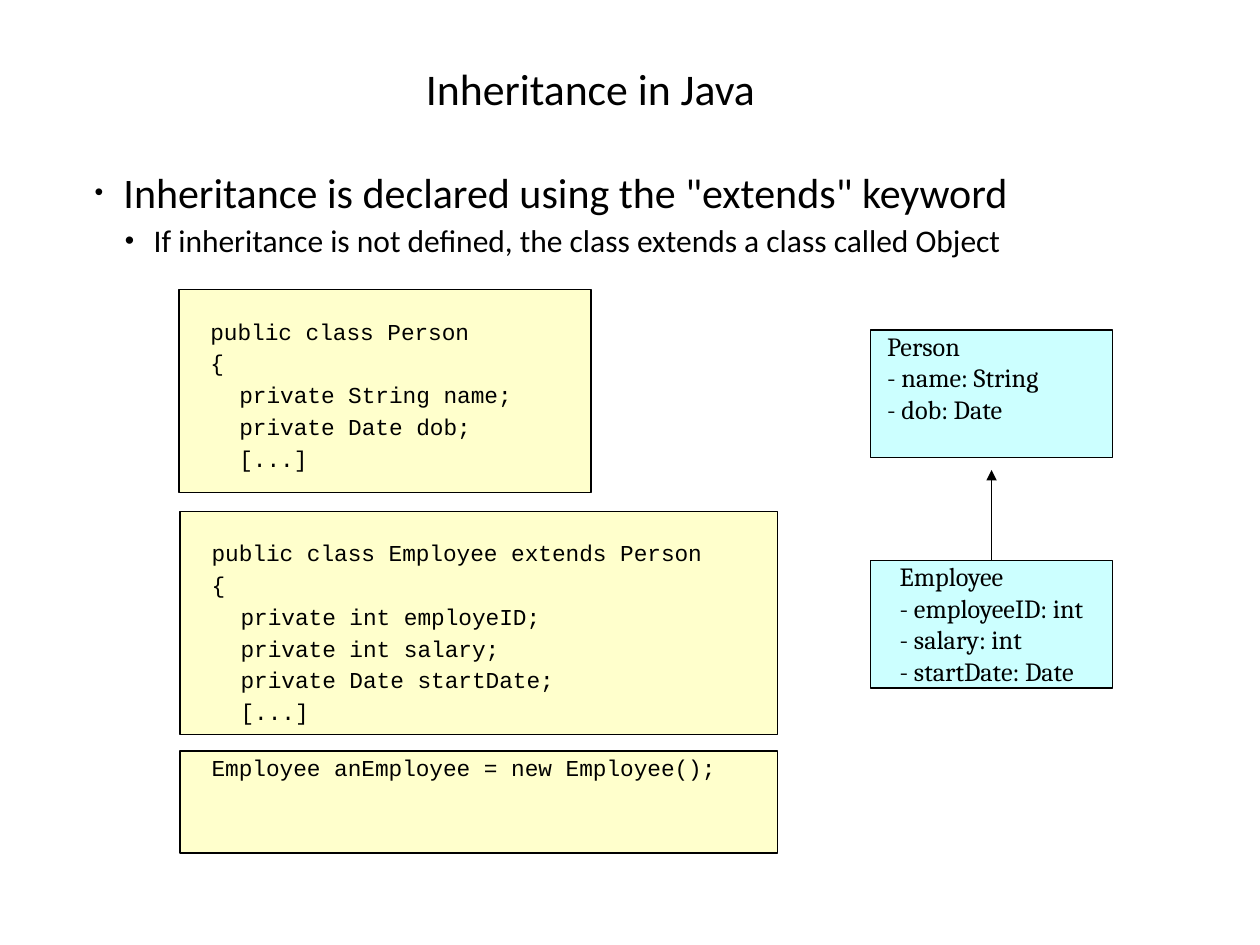
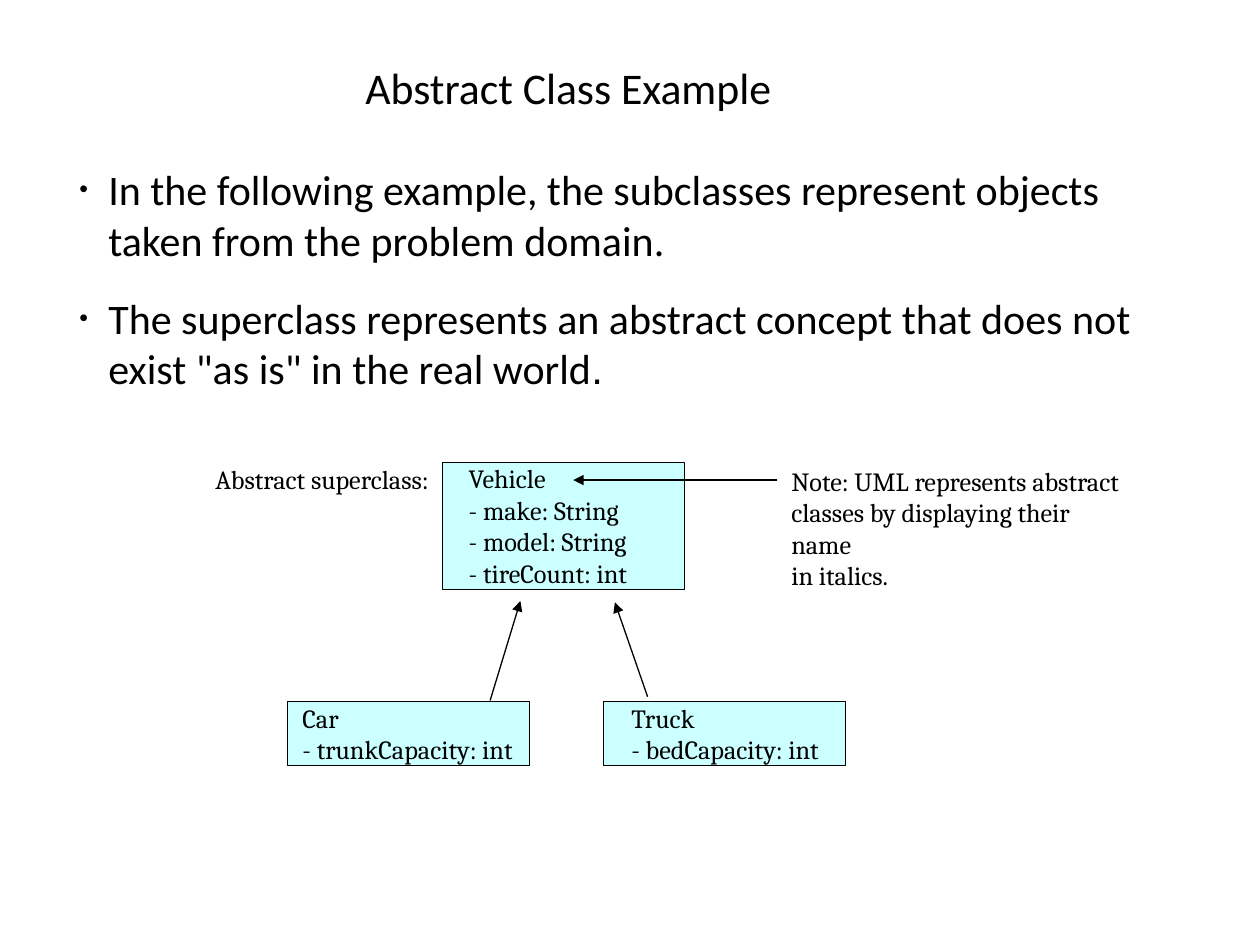
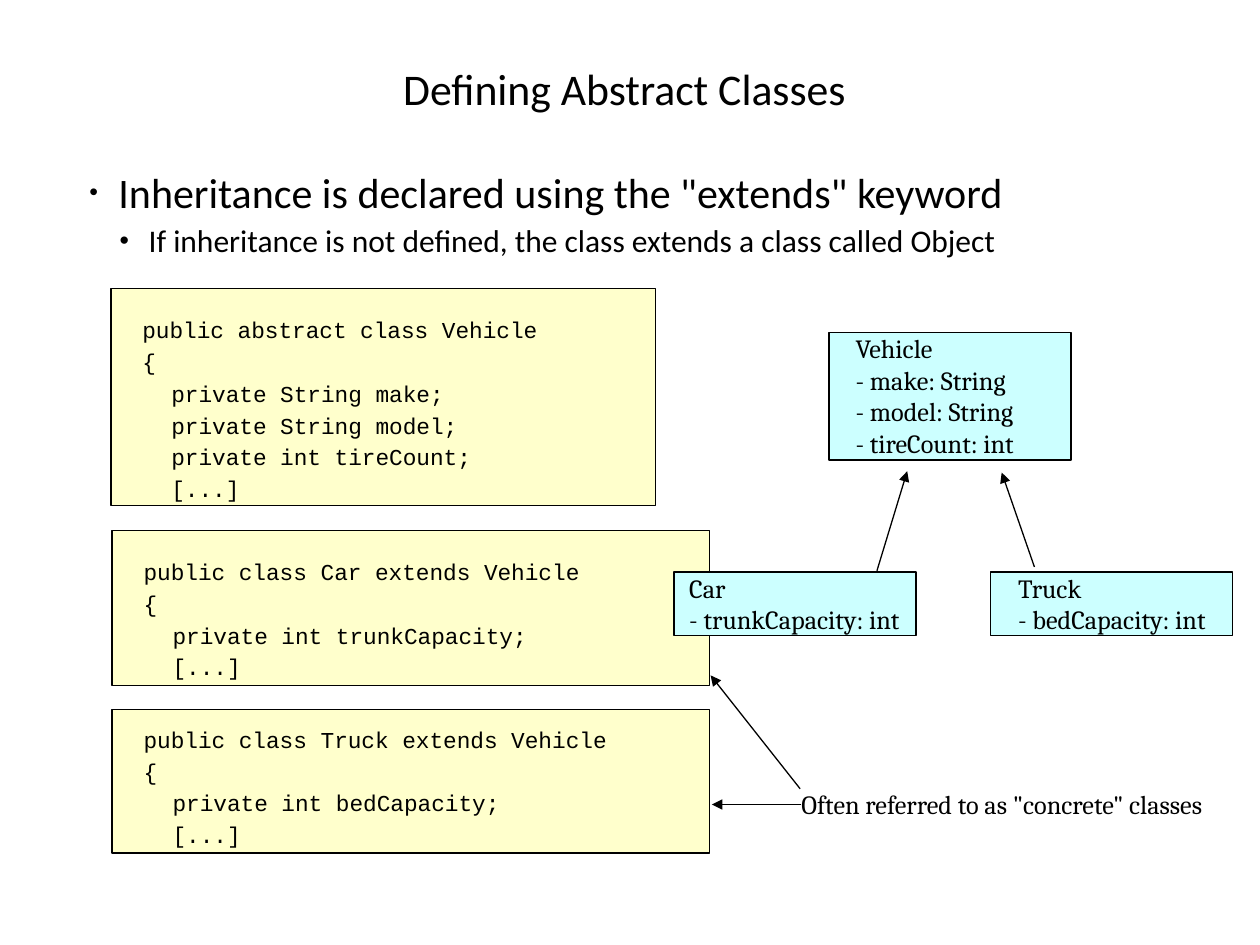
"""Builds three slides on inheritance and abstract classes in Java."""
from lxml.etree import SubElement
from pptx import Presentation
from pptx.dml.color import RGBColor
from pptx.enum.shapes import MSO_CONNECTOR as Link, MSO_SHAPE as Preset
from pptx.enum.text import MSO_ANCHOR as Anchor, MSO_AUTO_SIZE as Fit, PP_ALIGN as Align
from pptx.oxml.ns import qn
from pptx.util import Inches, Pt

INK, CODE_FILL, CLASS_FILL = "000000", "FFFFCC", "CCFFFF"
SANS, SERIF, MONO = "Calibri", "Cambria", "Courier New"
CLASS_WIDTH, LINE_HEIGHT = 19.2, 2.5
CODE_INDENT = 2.5
HANG = Inches(0.23)
LEVELS = [(24, 0.23, 59), (18, 0.47, 85)]
CONCRETE = 'Often referred to as "concrete" classes'

CLASSES = {
    "Person": (1.3, 10.1, ["- name: String", "- dob: Date"]),
    "Employee": (2.3, 10.1, ["- employeeID: int", "- salary: int", "- startDate: Date"]),
    "Vehicle": (2.1, 10.1, ["- make: String", "- model: String", "- tireCount: int"]),
    "Car": (1.2, 5.05, ["- trunkCapacity: int"]),
    "Truck": (2.2, 5.05, ["- bedCapacity: int"]),
}
TREE_CLASSES = [("Vehicle", 0, 0), ("Car", -12.3, 19), ("Truck", 12.8, 19)]
TREE_ARROWS = [(3.8, 18.9, 6.2, 11), (16.3, 18.6, 13.7, 11.1)]

EXTENDS = [
    (0, 2.5, 'Inheritance is declared using the "extends" keyword', ""),
    (1, 2.5, "If inheritance is not defined, the class extends a class called Object", ""),
]
PAGES = [
    {
        "title": ("Inheritance in Java", 33.8, 4.9),
        "body": (7.5, 13.2, 11.8, EXTENDS),
        "panels": [
            (14.2, 23, 32.7, 16.1, 2.2,
             ["public class Person", "{", "\tprivate String name;",
              "\tprivate Date dob;", "\t[...]"]),
            (14.3, 40.6, 47.4, 17.7, 2.2,
             ["public class Employee extends Person", "{", "\tprivate int employeID;",
              "\tprivate int salary;", "\tprivate Date startDate;", "\t[...]"]),
            (14.3, 59.6, 47.4, 8.1, 0.2, ["Employee anEmployee = new Employee();"]),
        ],
        "classes": [("Person", 69.1, 26.2), ("Employee", 69.1, 44.5)],
        "trees": [],
        "labels": [],
        "arrows": [(78.7, 44.5, 78.7, 37.3, "Employee", 0)],
    },
    {
        "title": ("Abstract Class Example", 29, 4.8),
        "body": (6.3, 13, 18.4, [
            (0, 2.5, "In the following example, the subclasses represent objects "
                     "taken from the problem domain.", ""),
            (0, 16, "The superclass represents an abstract concept that does not "
                    'exist "as is" in the real world', "."),
        ]),
        "panels": [],
        "classes": [],
        "trees": [(35.1, 36.7)],
        "labels": [
            (17.1, 36.8, 17.5, ["Abstract superclass:"]),
            (62.8, 36.9, 27.2, ["Note: UML represents abstract",
                                "classes by displaying their name", "in italics."]),
        ],
        "arrows": [(61.7, 38.1, 45.5, 38.1, "", 0)],
    },
    {
        "title": ("Defining Abstract Classes", 32, 4.9),
        "body": (7.1, 13.2, 11.8, EXTENDS),
        "panels": [
            (8.8, 22.9, 43.2, 17.2, 2.2,
             ["public abstract class Vehicle", "{", "\tprivate String make;",
              "\tprivate String model;", "\tprivate int tireCount;", "\t[...]"]),
            (8.9, 42.1, 47.4, 12.3, 2.2,
             ["public class Car extends Vehicle", "{", "\tprivate int trunkCapacity;",
              "\t[...]"]),
            (8.9, 56.3, 47.4, 11.4, 1.3,
             ["public class Truck extends Vehicle", "{", "\tprivate int bedCapacity;",
              "\t[...]"]),
        ],
        "classes": [],
        "trees": [(65.8, 26.4)],
        "labels": [(63.6, 62.6, 32.5, [CONCRETE])],
        "arrows": [(63.6, 63.85, 56.5, 63.85, CONCRETE, 1), (63.5, 62.6, 56.4, 53.6, "", 0)],
    },
]


def write(frame, lines, face, size, before=0, hang=0):
    """Fills a text frame with left-aligned lines, without margins."""
    frame.word_wrap = True
    frame.auto_size = Fit.NONE
    frame.vertical_anchor = Anchor.TOP
    frame.margin_left = frame.margin_top = frame.margin_right = frame.margin_bottom = 0
    for number, line in enumerate(lines):
        para = frame.add_paragraph() if number else frame.paragraphs[0]
        para.alignment = Align.LEFT
        para.space_before = Pt(before)
        if hang:
            properties = para._p.get_or_add_pPr()
            properties.set("marL", str(hang))
            properties.set("indent", str(-hang))
        span = para.add_run()
        span.text = line
        span.font.name = face
        span.font.size = Pt(size)
        span.font.color.rgb = RGBColor.from_string(INK)


def add_box(page, place, fill):
    """Adds a thinly outlined box."""
    box = page.shapes.add_shape(Preset.ROUNDED_RECTANGLE, *place)
    box.adjustments[0] = 0
    box.shadow.inherit = False
    box.fill.solid()
    box.fill.fore_color.rgb = RGBColor.from_string(fill)
    box.line.color.rgb = RGBColor.from_string(INK)
    box.line.width = Pt(0.75)
    return box


deck = Presentation()
deck.slide_width, deck.slide_height = Inches(10), Inches(7.5)
cell = deck.slide_width // 100

for content in PAGES:
    page = deck.slides.add_slide(deck.slide_layouts[1])
    title, body = page.placeholders

    text, left, top = content["title"]
    title.left, title.top = int(left * cell), int(top * cell)
    title.width, title.height = 45 * cell, int(4.2 * cell)
    write(title.text_frame, [text], SANS, 25)

    left, top, height, points = content["body"]
    body.left, body.top = int(left * cell), int(top * cell)
    body.width, body.height = 85 * cell, int(height * cell)
    write(body.text_frame, [point[2] for point in points], SANS, 24, hang=HANG)
    for para, (level, before, _, ending) in zip(body.text_frame.paragraphs, points):
        size, margin, bullet_size = LEVELS[level]
        para.level = level
        para.space_before = Pt(before)
        para.runs[0].font.size = Pt(size)
        if ending:
            span = para.add_run()
            span.text = ending
            span.font.name = "Arial"
            span.font.size = Pt(size)
            span.font.color.rgb = RGBColor.from_string(INK)
        properties = para._p.get_or_add_pPr()
        properties.set("marL", str(Inches(margin)))
        SubElement(SubElement(properties, qn("a:buClr")), qn("a:srgbClr"), val=INK)
        SubElement(properties, qn("a:buSzPct"), val=str(bullet_size * 1000))
        SubElement(properties, qn("a:buFont"), typeface="Arial")
        SubElement(properties, qn("a:buChar"), char="•")

    for left, top, width, height, drop, lines in content["panels"]:
        add_box(page, [int(n * cell) for n in (left, top, width, height)], CODE_FILL)
        place = (left + CODE_INDENT, top + drop, width - 2 * CODE_INDENT, len(lines) * LINE_HEIGHT)
        code = page.shapes.add_textbox(*[int(n * cell) for n in place])
        write(code.text_frame, lines, MONO, 13, before=2.5, hang=HANG)

    classes, arrows = list(content["classes"]), list(content["arrows"])
    for x, y in content["trees"]:
        classes += [(name, x + left, y + top) for name, left, top in TREE_CLASSES]
        arrows += [(x + x1, y + y1, x + x2, y + y2, "", 0) for x1, y1, x2, y2 in TREE_ARROWS]

    sources = {}
    for name, left, top in classes:
        inset, height, members = CLASSES[name]
        box = add_box(page, [int(n * cell) for n in (left, top, CLASS_WIDTH, height)], CLASS_FILL)
        write(box.text_frame, [name] + members, SERIF, 15)
        box.text_frame.margin_left = int(inset * cell)
        sources[name] = box

    for left, top, width, lines in content["labels"]:
        place = (left, top, width, len(lines) * LINE_HEIGHT)
        label = page.shapes.add_textbox(*[int(n * cell) for n in place])
        write(label.text_frame, lines, SERIF, 15)
        sources[lines[0]] = label

    for *ends, source, side in arrows:
        arrow = page.shapes.add_connector(Link.STRAIGHT, *[int(n * cell) for n in ends])
        if source:
            arrow.begin_connect(sources[source], side)
        arrow.line.color.rgb = RGBColor.from_string(INK)
        arrow.line.width = Pt(0.75)
        SubElement(arrow.line._get_or_add_ln(), qn("a:tailEnd"), type="triangle")
        SubElement(arrow._element.spPr, qn("a:effectLst"))

deck.save("out.pptx")
